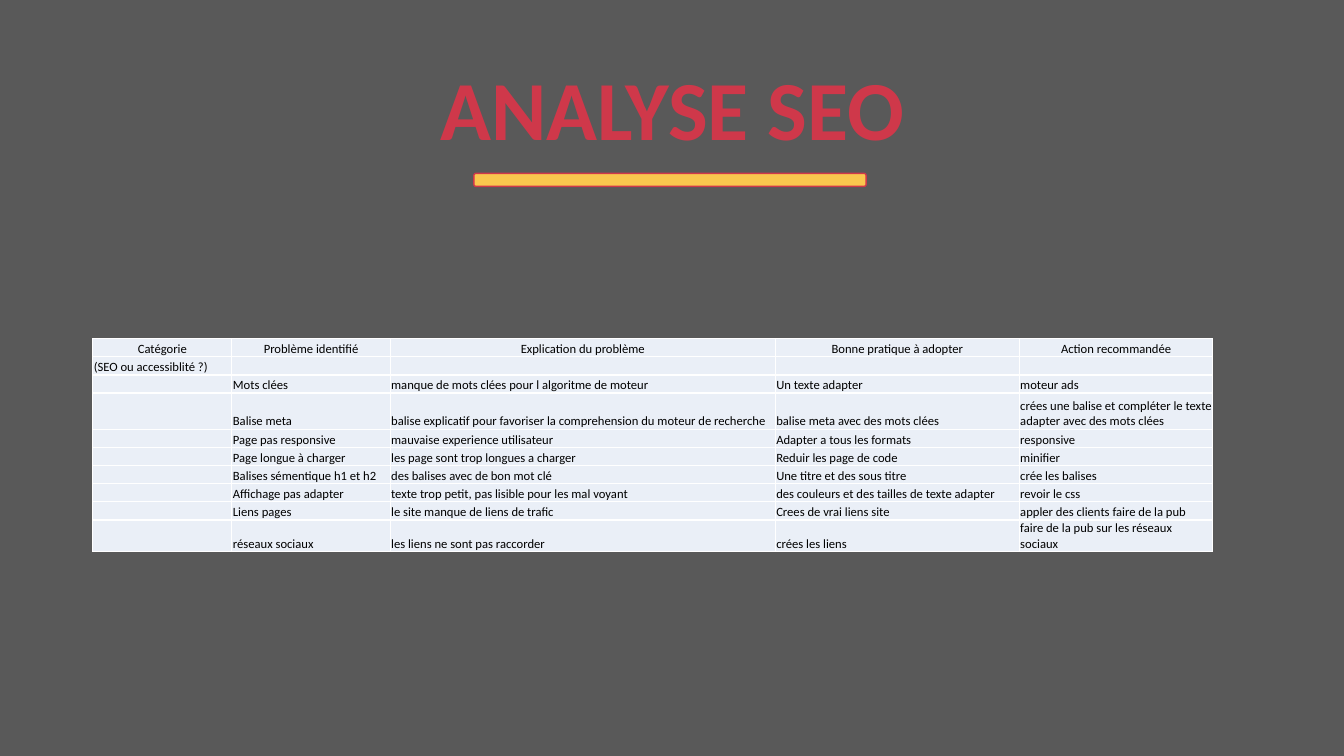
"""Build the SEO analysis slide with its title, underline and findings table."""
from lxml.etree import SubElement
from pptx import Presentation
from pptx.dml.color import RGBColor
from pptx.enum.shapes import MSO_SHAPE
from pptx.enum.text import MSO_ANCHOR, PP_ALIGN
from pptx.oxml.ns import qn
from pptx.util import Inches, Pt

TITLE = "ANALYSE SEO"
HEADERS = ("Catégorie", "Problème identifié", "Explication du problème",
           "Bonne pratique à adopter", "Action recommandée")
CATEGORY_NOTE = ("(SEO ou accessiblité ?)", "", "", "", "")
FINDINGS = [
    ("Mots clées", "manque de mots clées pour l algoritme de moteur",
     "Un texte adapter", "moteur ads"),
    ("Balise meta", "balise explicatif pour favoriser la comprehension du moteur de recherche",
     "balise meta avec des mots clées",
     "crées une balise et compléter le texte adapter avec des mots clées"),
    ("Page pas responsive", "mauvaise experience utilisateur",
     "Adapter a tous les formats", "responsive"),
    ("Page longue à charger", "les page sont trop longues a charger",
     "Reduir les page de code", "minifier"),
    ("Balises sémentique h1 et h2", "des balises avec de bon mot clé",
     "Une titre et des sous titre", "crée les balises"),
    ("Affichage pas adapter", "texte trop petit, pas lisible pour les mal voyant",
     "des couleurs et des tailles de texte adapter", "revoir le css"),
    ("Liens pages", "le site manque de liens de trafic",
     "Crees de vrai liens site", "appler des clients faire de la pub"),
    ("réseaux sociaux", "les liens ne sont pas raccorder",
     "crées les liens", "faire de la pub sur les réseaux sociaux"),
]
ROWS = [HEADERS, CATEGORY_NOTE] + [("",) + finding for finding in FINDINGS]
COLUMN_WIDTHS = (1.38, 1.57, 3.82, 2.42, 1.92)
ROW_HEIGHT = 0.18
TALL_ROW = 3

FONT = "Calibri"
GREY = RGBColor(0x59, 0x59, 0x59)
RED = RGBColor(0xCF, 0x38, 0x4A)
YELLOW = RGBColor(0xFA, 0xC7, 0x4E)
PALE_BLUE = RGBColor(0xEA, 0xEF, 0xF7)
WHITE = RGBColor(0xFF, 0xFF, 0xFF)
BLACK = RGBColor(0, 0, 0)


def style_span(span, size, color, bold=False):
    span.font.name = FONT
    span.font.size = Pt(size)
    span.font.color.rgb = color
    span.font.bold = bold


def add_title(page):
    box = page.shapes.add_textbox(Inches(0.92), Inches(0.4), Inches(11.5), Inches(1.45))
    frame = box.text_frame
    frame.word_wrap = True
    frame.vertical_anchor = MSO_ANCHOR.MIDDLE
    frame.text = TITLE
    para = frame.paragraphs[0]
    para.alignment = PP_ALIGN.CENTER
    para.line_spacing = 0.9
    style_span(para.runs[0], 60, RED, bold=True)


def add_underline(page):
    bar = page.shapes.add_shape(MSO_SHAPE.ROUNDED_RECTANGLE, Inches(4.7), Inches(1.72),
                                Inches(3.89), Inches(0.13))
    bar.shadow.inherit = False
    bar.fill.solid()
    bar.fill.fore_color.rgb = YELLOW
    bar.line.color.rgb = RED
    bar.line.width = Pt(1)


def add_borders(cell):
    properties = cell._tc.get_or_add_tcPr()
    for side in ("a:lnL", "a:lnR", "a:lnT", "a:lnB"):
        line = SubElement(properties, qn(side), w=str(Pt(1)))
        SubElement(SubElement(line, qn("a:solidFill")), qn("a:srgbClr"), val=str(WHITE))


def fill_cell(cell, text, centred):
    add_borders(cell)
    cell.fill.solid()
    cell.fill.fore_color.rgb = PALE_BLUE
    cell.vertical_anchor = MSO_ANCHOR.BOTTOM
    cell.margin_left = cell.margin_right = cell.margin_top = Inches(0.01)
    cell.margin_bottom = 0
    para = cell.text_frame.paragraphs[0]
    if not text:
        SubElement(para._p, qn("a:endParaRPr"), sz="900")
        return
    para.text = text
    para.alignment = PP_ALIGN.CENTER if centred else PP_ALIGN.LEFT
    style_span(para.runs[0], 9, BLACK)


def add_findings(page):
    frame = page.shapes.add_table(len(ROWS), len(COLUMN_WIDTHS), Inches(0.92), Inches(3.36),
                                  Inches(sum(COLUMN_WIDTHS)),
                                  Inches(ROW_HEIGHT * (len(ROWS) + 1)))
    table = frame.table
    table.first_row = False
    table.horz_banding = False
    for column, width in zip(table.columns, COLUMN_WIDTHS):
        column.width = Inches(width)
    for index, texts in enumerate(ROWS):
        table.rows[index].height = Inches(ROW_HEIGHT * (2 if index == TALL_ROW else 1))
        for cell, text in zip(table.rows[index].cells, texts):
            fill_cell(cell, text, centred=index == 0)


def main():
    deck = Presentation()
    deck.slide_width = Inches(13.33)
    deck.slide_height = Inches(7.5)
    page = deck.slides.add_slide(deck.slide_layouts[6])
    page.background.fill.solid()
    page.background.fill.fore_color.rgb = GREY
    add_title(page)
    add_underline(page)
    add_findings(page)
    deck.save("out.pptx")


if __name__ == "__main__":
    main()
